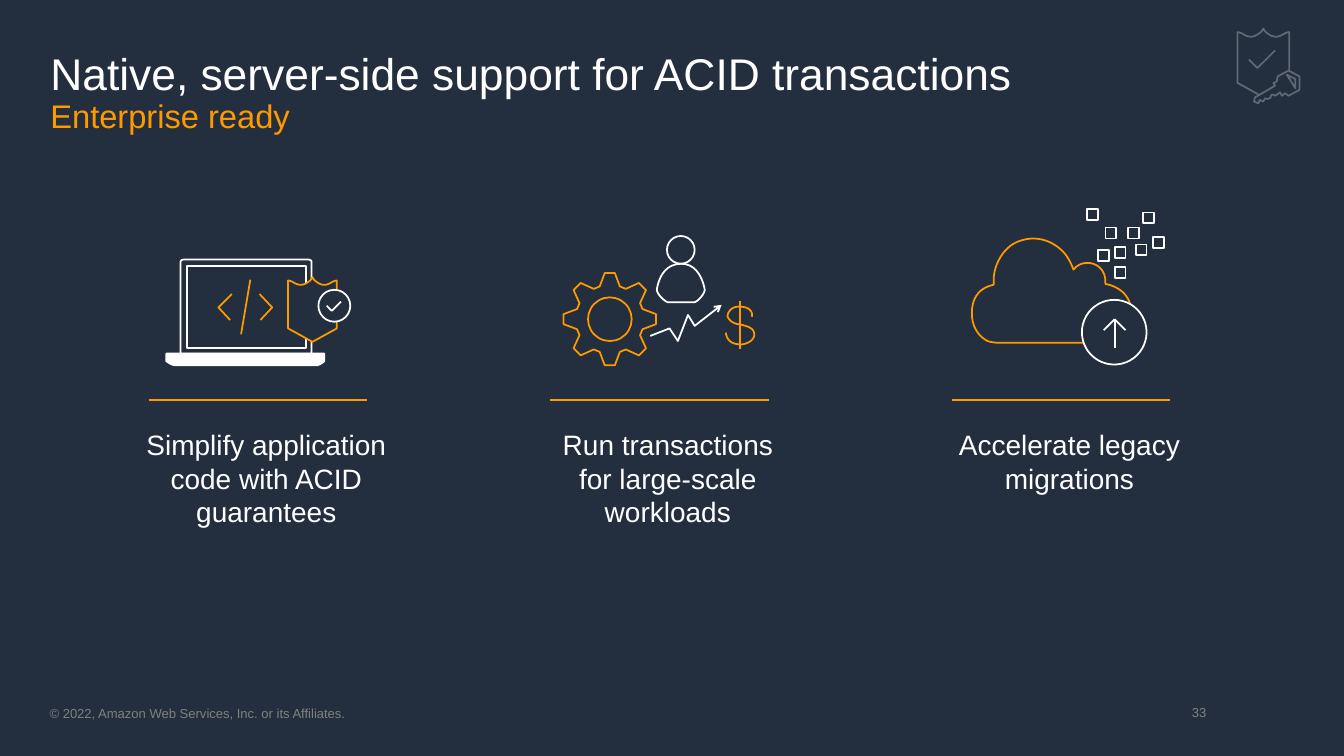
import math

from lxml import etree
from pptx import Presentation
from pptx.dml.color import RGBColor
from pptx.enum.shapes import MSO_CONNECTOR, MSO_SHAPE
from pptx.enum.text import MSO_ANCHOR, PP_ALIGN
from pptx.oxml.ns import qn
from pptx.util import Inches, Pt

NAVY = RGBColor(0x23, 0x2F, 0x3E)
ORANGE = RGBColor(0xFF, 0x99, 0x00)
WHITE = RGBColor(0xFF, 0xFF, 0xFF)
GRAY = RGBColor(0x80, 0x80, 0x80)
STRAIGHT = MSO_CONNECTOR.STRAIGHT
RECT, OVAL = MSO_SHAPE.RECTANGLE, MSO_SHAPE.OVAL
LEFT, CENTER, RIGHT = PP_ALIGN.LEFT, PP_ALIGN.CENTER, PP_ALIGN.RIGHT
MIDDLE = MSO_ANCHOR.MIDDLE
FLUSH = dict.fromkeys(
    ("margin_left", "margin_top", "margin_right", "margin_bottom"), 0)
WEIGHT = Pt(1.5)
CURVE_STEPS = 12
COLUMN_LEFT, COLUMN_STEP, RULE_WIDTH, RULE_Y = 1.77, 4.78, 2.6, 4.76
CAPTIONS = [
    ("Simplify application code with ACID guarantees", 3.6),
    ("Run transactions for large-scale workloads", 3.06),
    ("Accelerate legacy migrations", 4.38),
]
CLOUD = [
    (11.83, 3.39), (11.83, 3.37, 11.83, 3.35, 11.83, 3.33),
    (11.83, 3.16, 11.94, 2.95, 12.11, 2.88),
    (12.32, 2.79, 12.52, 2.86, 12.65, 2.99),
    (12.71, 3.05, 12.75, 3.13, 12.78, 3.21),
    (12.89, 3.06, 13.18, 3.12, 13.16, 3.38),
    (13.27, 3.4, 13.47, 3.48, 13.47, 3.73),
    (13.47, 4.05, 13.15, 4.08, 13.15, 4.08), (11.88, 4.08),
    (11.84, 4.08, 11.77, 4.07, 11.74, 4.05),
    (11.67, 4.01, 11.57, 3.91, 11.57, 3.73),
    (11.57, 3.51, 11.69, 3.42, 11.83, 3.39),
]
DATA_BLOCKS = [
    (12.94, 2.49), (13.07, 2.98), (13.16, 2.71), (13.43, 2.71), (13.61, 2.53),
    (13.73, 2.82), (13.52, 2.91), (13.27, 2.94), (13.27, 3.18),
]
TORSO = [
    (7.96, 3.6), (8.26, 3.6), (8.3, 3.6, 8.39, 3.5, 8.39, 3.45),
    (8.39, 3.45, 8.35, 3.14, 8.11, 3.14),
    (7.85, 3.14, 7.82, 3.45, 7.82, 3.45),
    (7.82, 3.5, 7.92, 3.6, 7.96, 3.6),
]
TREND = [(7.74, 4), (7.97, 3.91), (8.07, 4.06), (8.19, 3.75), (8.27, 3.88),
         (8.59, 3.63)]
DOLLAR = [
    (8.95, 3.77), (8.96, 3.75, 8.96, 3.66, 8.82, 3.65),
    (8.68, 3.64, 8.66, 3.75, 8.66, 3.77),
    (8.67, 3.77, 8.67, 3.81, 8.73, 3.84),
    (8.75, 3.85, 8.77, 3.86, 8.8, 3.86),
    (8.94, 3.89, 8.98, 3.92, 8.98, 3.99),
    (8.97, 4.05, 8.91, 4.09, 8.83, 4.1),
    (8.76, 4.1, 8.66, 4.09, 8.64, 3.96),
]
LID = [(3.71, 4.21), (3.71, 3.12), (3.71, 3.1, 3.69, 3.09, 3.67, 3.09),
       (2.19, 3.09), (2.17, 3.09, 2.15, 3.1, 2.15, 3.12), (2.15, 4.21)]
BASE = [(1.98, 4.21), (3.86, 4.21), (3.86, 4.3),
        (3.83, 4.33, 3.79, 4.35, 3.76, 4.35), (2.09, 4.35),
        (2.06, 4.35, 2.02, 4.33, 1.98, 4.3)]
SHIELD_HALF = [(0, 0), (0.02, 0.04, 0.04, 0.05, 0.07, 0.07),
               (0.12, 0.1, 0.17, 0.1, 0.23, 0.06),
               (0.25, 0.05, 0.27, 0.04, 0.29, 0.04), (0.29, 0.61), (0, 0.77)]
KEY = [
    (15.47, 1.07), (15.47, 0.91), (15.34, 0.84), (15.21, 0.91), (15.2, 0.97),
    (15.16, 0.99), (15.18, 1.02), (14.94, 1.16), (14.93, 1.21), (14.98, 1.23),
    (15, 1.19), (15.04, 1.21), (15.06, 1.17), (15.09, 1.18), (15.13, 1.16),
    (15.13, 1.16, 15.12, 1.14, 15.14, 1.13),
    (15.16, 1.12, 15.18, 1.14, 15.18, 1.14), (15.24, 1.1), (15.26, 1.14),
    (15.3, 1.11), (15.34, 1.14),
]


def flatten(steps):
    points = [steps[0]]
    for step in steps[1:]:
        if len(step) == 2:
            points.append(step)
            continue
        nodes = [points[-1], step[:2], step[2:4], step[4:]]
        for i in range(1, CURVE_STEPS + 1):
            t = i / CURVE_STEPS
            weights = [math.comb(3, k) * t**k * (1 - t)**(3 - k)
                       for k in range(4)]
            points.append(tuple(sum(w * n[axis] for w, n in zip(weights, nodes))
                                for axis in (0, 1)))
    return points


def paint(sp, line, fill):
    sp.shadow.inherit = False
    if fill is None:
        sp.fill.background()
    else:
        sp.fill.solid()
        sp.fill.fore_color.rgb = fill
    if line is None:
        sp.line.fill.background()
    else:
        sp.line.color.rgb = line
        sp.line.width = WEIGHT
    return sp


def add_outline(shapes, steps, line, fill=None, close=True):
    points = [(Inches(x), Inches(y)) for x, y in flatten(steps)]
    builder = shapes.build_freeform(*points[0])
    builder.add_line_segments(points[1:], close=close)
    return paint(builder.convert_to_shape(), line, fill)


def add_preset(shapes, kind, box, line, fill=None):
    return paint(shapes.add_shape(kind, *map(Inches, box)), line, fill)


def add_line(shapes, x1, y1, x2, y2, color):
    cxn = shapes.add_connector(STRAIGHT, *map(Inches, (x1, y1, x2, y2)))
    cxn.line.color.rgb = color
    cxn.line.width = WEIGHT
    etree.SubElement(cxn._element.spPr, qn("a:effectLst"))


def add_text(shapes, box, lines, align=LEFT, spacing=None, frame=None):
    tf = shapes.add_textbox(*map(Inches, box)).text_frame
    for name, value in {"word_wrap": True, **(frame or {})}.items():
        setattr(tf, name, value)
    p = tf.paragraphs[0]
    for name, value in {"alignment": align, "line_spacing": spacing}.items():
        setattr(p, name, value)
    for i, (text, size, color) in enumerate(lines):
        if i:
            p.add_line_break()
        r = p.add_run()
        r.text = text
        for name, value in {"name": "Arial", "size": Pt(size)}.items():
            setattr(r.font, name, value)
        r.font.color.rgb = color


def add_shield(shapes, x, y, scale, line, fill=None):
    right = flatten(SHIELD_HALF)
    half = right + [(-dx, dy) for dx, dy in reversed(right[1:-1])]
    add_outline(shapes, [(x + dx * scale, y + dy * scale) for dx, dy in half],
                line, fill)


def add_gear(shapes, x, y):
    tooth = [(-0.12, -0.39), (-0.06, -0.55), (0.06, -0.55), (0.12, -0.39)]
    points = []
    for i in range(8):
        c, s = math.cos(i * math.pi / 4), math.sin(i * math.pi / 4)
        points += [(x + c * dx - s * dy, y + s * dx + c * dy)
                   for dx, dy in tooth]
    add_outline(shapes, points, ORANGE)
    add_preset(shapes, OVAL, (x - 0.26, y - 0.26, 0.52, 0.52), ORANGE)


def add_migration(shapes):
    add_outline(shapes, CLOUD, ORANGE)
    add_preset(shapes, OVAL, (12.88, 3.57, 0.77, 0.77), WHITE, NAVY)
    for x, y in [(13.27, 4.14), (13.14, 3.93), (13.4, 3.93)]:
        add_line(shapes, x, y, 13.27, 3.8, WHITE)
    for x, y in DATA_BLOCKS:
        add_preset(shapes, RECT, (x, y, 0.13, 0.13), WHITE)


def add_workload(shapes):
    add_outline(shapes, TORSO, WHITE)
    add_preset(shapes, OVAL, (7.94, 2.81, 0.33, 0.33), WHITE)
    trend = add_outline(shapes, TREND, WHITE, close=False)
    etree.SubElement(trend.line._get_or_add_ln(), qn("a:tailEnd"), type="arrow")
    add_outline(shapes, DOLLAR, ORANGE, close=False)
    add_line(shapes, 8.81, 3.58, 8.81, 4.16, ORANGE)
    add_gear(shapes, 7.26, 3.8)


def add_laptop(shapes):
    for bracket in ([(3.09, 3.5), (3.24, 3.66), (3.1, 3.81)],
                    [(2.76, 3.5), (2.6, 3.66), (2.74, 3.81)]):
        add_outline(shapes, bracket, ORANGE, close=False)
    add_line(shapes, 2.98, 3.33, 2.87, 3.98, ORANGE)
    add_outline(shapes, LID, WHITE)
    add_preset(shapes, RECT, (2.23, 3.17, 1.41, 0.97), WHITE)
    add_outline(shapes, BASE, WHITE, WHITE)
    add_shield(shapes, 3.72, 3.3, 1, ORANGE, NAVY)
    add_preset(shapes, OVAL, (3.79, 3.45, 0.38, 0.38), WHITE, NAVY)
    add_outline(shapes, [(4.06, 3.59), (3.95, 3.7), (3.89, 3.64)], WHITE,
                close=False)


def add_badge(shapes):
    add_shield(shapes, 15.04, 0.34, 1.06, WHITE)
    add_outline(shapes, KEY, WHITE, NAVY)
    add_outline(shapes, [(15.32, 0.89), (15.42, 1.05), (15.42, 0.94)], WHITE)
    add_outline(shapes, [(15.18, 0.6), (14.97, 0.81), (14.87, 0.71)], WHITE,
                close=False)
    veil = add_preset(shapes, RECT, (14.48, 0.31, 1.05, 0.97), None, NAVY)
    color = veil._element.spPr.find(".//" + qn("a:srgbClr"))
    etree.SubElement(color, qn("a:alpha"), val="72000")


def main():
    prs = Presentation()
    prs.slide_width, prs.slide_height = Inches(16), Inches(9)
    s = prs.slides.add_slide(prs.slide_layouts[6])
    s.background.fill.solid()
    s.background.fill.fore_color.rgb = NAVY
    add_text(s.shapes, (0.59, 8.4, 7.78, 0.19),
             [("© 2022, Amazon Web Services, Inc. or its Affiliates.", 11.2, GRAY)],
             frame=FLUSH)
    for i, (caption, width) in enumerate(CAPTIONS):
        x = COLUMN_LEFT + i * COLUMN_STEP
        middle = x + RULE_WIDTH / 2 + 0.1
        add_text(s.shapes, (middle - width / 2, 5.04, width, 1.31),
                 [(caption, 24, WHITE)], CENTER)
        add_line(s.shapes, x, RULE_Y, x + RULE_WIDTH, RULE_Y, ORANGE)
    for draw in (add_migration, add_workload, add_laptop, add_badge):
        draw(s.shapes.add_group_shape().shapes)
    add_text(s.shapes, (0.6, 0.62, 14.36, 1.16),
             [("Native, server-side support for ACID transactions", 38, WHITE),
              ("Enterprise ready", 28, ORANGE)], spacing=0.9, frame=FLUSH)
    add_text(s.shapes, (11.3, 8.24, 3.16, 0.48), [("33", 11.2, GRAY)], RIGHT,
             frame={"vertical_anchor": MIDDLE})
    prs.save("out.pptx")


if __name__ == "__main__":
    main()
